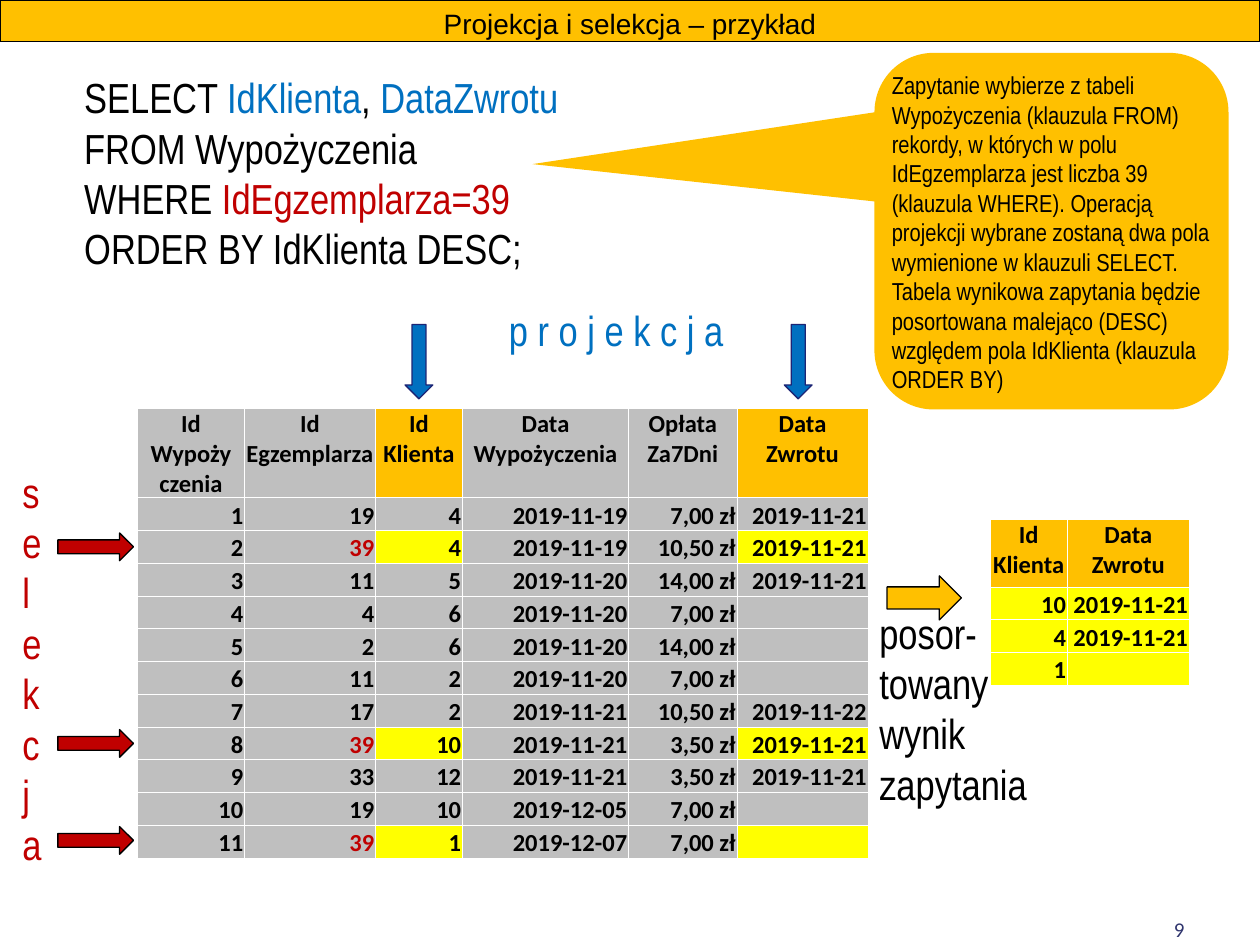
import pptx
import pptx.dml.color
import pptx.enum.shapes
import pptx.enum.text
import pptx.oxml
import pptx.oxml.ns
import pptx.util
from lxml import etree

Inches = pptx.util.Inches
Pt = pptx.util.Pt
MSO = pptx.enum.shapes.MSO_SHAPE
ALIGN = pptx.enum.text.PP_ALIGN
ANCHOR = pptx.enum.text.MSO_ANCHOR
qn = pptx.oxml.ns.qn

BLACK, WHITE, GREY = "000000", "FFFFFF", "BFBFBF"
GOLD, YELLOW, RED, BLUE = "FFC000", "FFFF00", "C00000", "0070C0"


def rgb(value):
    return pptx.dml.color.RGBColor.from_string(value)


def write(tf, lines, size, font, align=ALIGN.LEFT, bold=False):
    """Fill a text frame; each line is a list of (text, colour) runs."""
    tf.word_wrap = True
    for i, line in enumerate(lines):
        p = tf.paragraphs[0] if i == 0 else tf.add_paragraph()
        p.alignment = align
        p.text = "".join(text for text, _ in line[:1])
        for text, _ in line[1:]:
            p.add_run().text = text
        for r in p.runs:
            r.font.size, r.font.name, r.font.bold = Pt(size), font, bold
        # A cell header has one colour; other lines have one colour per run
        for j, r in enumerate(p.runs):
            r.font.color.rgb = rgb(line[min(j, len(line) - 1)][1])
        if not p.runs:
            etree.SubElement(p._p, qn("a:endParaRPr"), sz=str(size * 100))


prs = pptx.Presentation()
prs.slide_width, prs.slide_height = Inches(10), Inches(7.5)
s = prs.slides.add_slide(prs.slide_layouts[6])

# Slide number
tf = s.shapes.add_textbox(Inches(7.17), Inches(7), Inches(2.33), Inches(0.52)).text_frame
tf.vertical_anchor = ANCHOR.BOTTOM
write(tf, [[("9", "30356E")]], 12, "Calibri", ALIGN.RIGHT)

# Query, captions and result label
query = [
    [("SELECT ", BLACK), ("IdKlienta", BLUE), (", ", BLACK), ("DataZwrotu", BLUE)],
    [("FROM Wypożyczenia", BLACK)],
    [("WHERE ", BLACK), ("IdEgzemplarza=39", RED)],
    [("ORDER BY IdKlienta DESC;", BLACK)],
]
projection = [[("p r o j e k c j a", BLUE)]]
selection = [[(letter, RED)] for letter in "selekcja"]
result_label = [[(text, BLACK)] for text in ("posor-", "towany", "wynik zapytania")]

# Rental records and the sorted query result
header = ["Id\vWypoży\vczenia", "Id\vEgzemplarza", "Id\vKlienta",
          "Data\vWypożyczenia", "Opłata\vZa7Dni", "Data\vZwrotu"]
rentals = [
    ["1", "19", "4", "2019-11-19", "7,00 zł", "2019-11-21"],
    ["2", "39", "4", "2019-11-19", "10,50 zł", "2019-11-21"],
    ["3", "11", "5", "2019-11-20", "14,00 zł", "2019-11-21"],
    ["4", "4", "6", "2019-11-20", "7,00 zł", ""],
    ["5", "2", "6", "2019-11-20", "14,00 zł", ""],
    ["6", "11", "2", "2019-11-20", "7,00 zł", ""],
    ["7", "17", "2", "2019-11-21", "10,50 zł", "2019-11-22"],
    ["8", "39", "10", "2019-11-21", "3,50 zł", "2019-11-21"],
    ["9", "33", "12", "2019-11-21", "3,50 zł", "2019-11-21"],
    ["10", "19", "10", "2019-12-05", "7,00 zł", ""],
    ["11", "39", "1", "2019-12-07", "7,00 zł", ""],
]
projected = (2, 5)
selected = sorted((row for row in rentals if row[1] == "39"),
                  key=lambda row: int(row[2]), reverse=True)

# Both tables: left, top, height, column widths, source columns, records
tables = [
    (1.09, 3.24, 3.58, [0.85, 1.04, 0.69, 1.32, 0.86, 1.04], range(6), rentals),
    (7.86, 4.12, 1.32, [0.61, 0.97], projected, selected),
]
for left, top, height, widths, columns, records in tables:
    frame = s.shapes.add_table(len(records) + 1, len(widths), Inches(left), Inches(top),
                               Inches(sum(widths)), Inches(height))
    table = frame.table
    table.first_row = table.horz_banding = False
    for i, width in enumerate(widths):
        table.columns[i].width = Inches(width)
    for i, record in enumerate([header] + records):
        table.rows[i].height = Inches(0.54 if i == 0 else 0.26)
        for j, column in enumerate(columns):
            cell = table.cell(i, j)
            cell.margin_left = cell.margin_right = cell.margin_top = Inches(0.01)
            cell.margin_bottom = 0
            cell.vertical_anchor = ANCHOR.TOP if i == 0 else ANCHOR.BOTTOM
            fill = GREY
            if column in projected and i == 0:
                fill = GOLD
            elif column in projected and record[1] == "39":
                fill = YELLOW
            # Borders come before the fill in the cell properties
            tc_pr = cell._tc.get_or_add_tcPr()
            for side in ("a:lnL", "a:lnR", "a:lnT", "a:lnB"):
                ln = etree.SubElement(tc_pr, qn(side), w=str(Pt(0.5)))
                solid = etree.SubElement(ln, qn("a:solidFill"))
                etree.SubElement(solid, qn("a:srgbClr"), val=WHITE)
            cell.fill.solid()
            cell.fill.fore_color.rgb = rgb(fill)
            text = record[column]
            color = RED if column == 1 and text == "39" else BLACK
            write(cell.text_frame, [[(text, color)] if text else []], 14, "Calibri",
                  ALIGN.CENTER if i == 0 else ALIGN.RIGHT, True)
    frame.height = Inches(height)

# Block arrows: result, selected rows, projected columns
arrows = [(MSO.DOWN_ARROW, 7.16, 4.45, 0.35, 0.59, 270, GOLD, BLACK)]
arrows += [(MSO.RIGHT_ARROW, 0.46, y, 0.6, 0.22, 0, RED, BLACK) for y in (4.23, 5.79, 6.56)]
arrows += [(MSO.RIGHT_ARROW, x, 2.76, 0.59, 0.22, 90, BLUE, "1D2474") for x in (3.03, 6.04)]
for kind, x, y, w, h, rotation, fill, line in arrows:
    sp = s.shapes.add_shape(kind, Inches(x), Inches(y), Inches(w), Inches(h))
    sp.shadow.inherit = False
    sp.rotation = rotation
    sp.fill.solid()
    sp.fill.fore_color.rgb = rgb(fill)
    sp.line.color.rgb = rgb(line)
    sp.line.width = Pt(0.75)

# Text boxes
for x, y, w, h, lines in [
    (0.57, 0.52, 4.59, 1.72, query),
    (3.94, 2.37, 2.02, 0.56, projection),
    (0.08, 3.65, 0.35, 3.3, selection),
    (6.88, 4.77, 1.39, 1.77, result_label),
]:
    sp = s.shapes.add_textbox(Inches(x), Inches(y), Inches(w), Inches(h))
    write(sp.text_frame, lines, 24, "Arial Narrow")

# Explanation callout
sp = s.shapes.add_shape(MSO.ROUNDED_RECTANGULAR_CALLOUT, Inches(6.94), Inches(0.42),
                        Inches(2.81), Inches(2.83))
sp.shadow.inherit = False
for i, value in enumerate((-1.466, -0.188, 0.167)):
    sp.adjustments[i] = value
sp.fill.solid()
sp.fill.fore_color.rgb = rgb(GOLD)
sp.line.fill.background()
tf = sp.text_frame
tf.margin_left = tf.margin_right = tf.margin_top = tf.margin_bottom = 0
tf.vertical_anchor = ANCHOR.TOP
explanation = (
    "Zapytanie wybierze z tabeli Wypożyczenia (klauzula FROM) rekordy, w których w polu "
    "IdEgzemplarza jest liczba 39 (klauzula WHERE). Operacją projekcji wybrane zostaną dwa "
    "pola wymienione w klauzuli SELECT. Tabela wynikowa zapytania będzie posortowana "
    "malejąco (DESC) względem pola IdKlienta (klauzula ORDER BY)"
)
write(tf, [[(explanation, BLACK)]], 14, "Arial Narrow")

# Title bar
sp = s.shapes.add_shape(MSO.RECTANGLE, 0, 0, Inches(10), Inches(0.33))
sp.shadow.inherit = False
sp.fill.solid()
sp.fill.fore_color.rgb = rgb(GOLD)
sp.line.color.rgb = rgb(BLACK)
sp.line.width = Pt(0.75)
sp.text_frame.vertical_anchor = ANCHOR.TOP
write(sp.text_frame, [[("Projekcja i selekcja – przykład", BLACK)]], 16, "Arial", ALIGN.CENTER)

prs.save("out.pptx")
